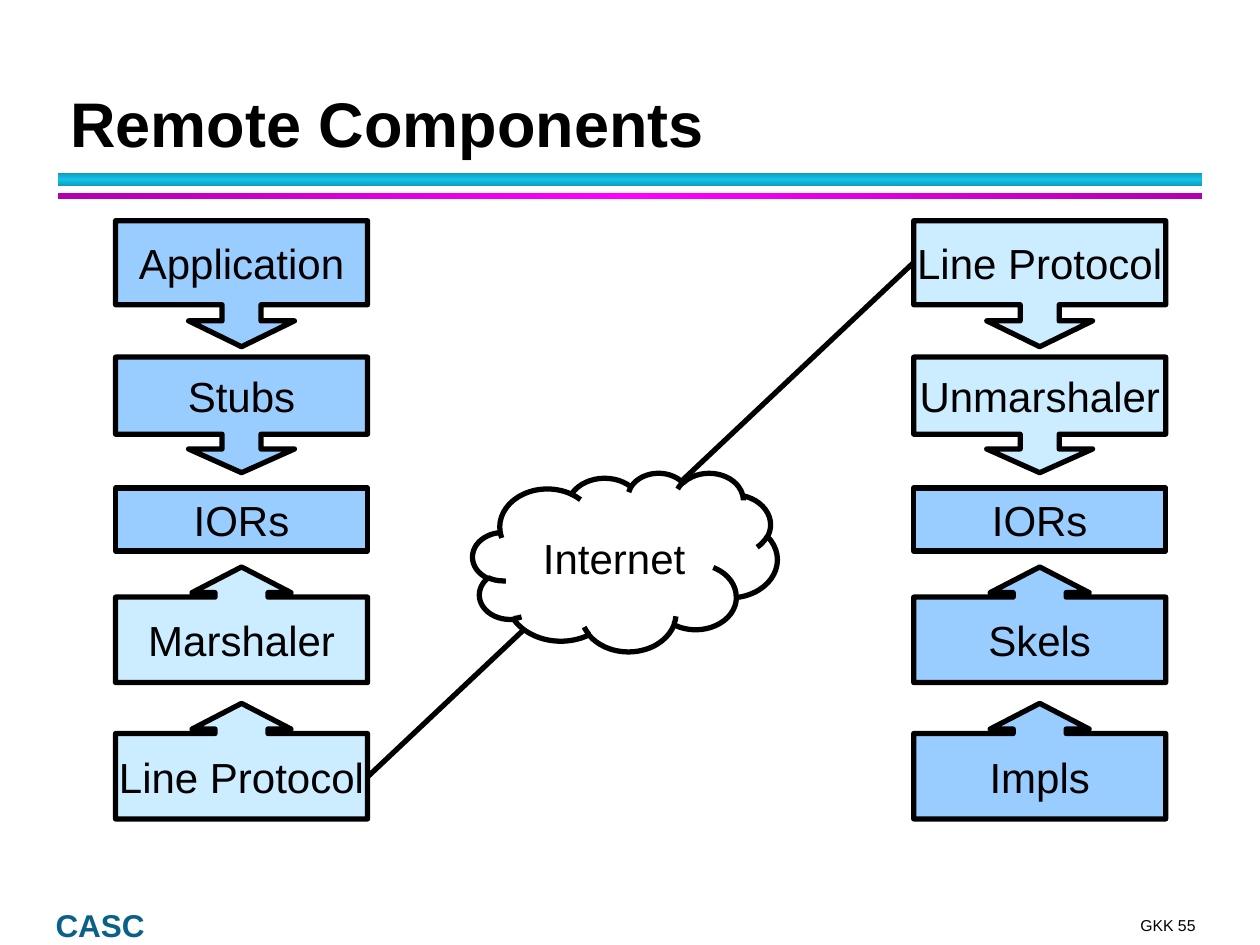
from copy import deepcopy

from lxml.etree import SubElement
from pptx import Presentation
from pptx.dml.color import RGBColor
from pptx.enum.shapes import MSO_CONNECTOR, MSO_SHAPE as SHAPE
from pptx.enum.text import MSO_ANCHOR as ANCHOR, PP_ALIGN as ALIGN
from pptx.oxml.ns import qn
from pptx.util import Cm, Pt

COLORS = {
    "black": "000000", "white": "FFFFFF", "blue": "99CCFF", "pale": "CCECFF",
    "teal": "0E9AB9", "cyan": "12C2E9", "purple": "B100B1", "magenta": "FF00FF",
    "footer": "0A6089",
}


def rgb(name):
    return RGBColor.from_string(COLORS[name])


def add_text(sp, text, size, align, anchor, margins, wrap, color="black", bold=False):
    tf = sp.text_frame
    tf.word_wrap = wrap
    tf.vertical_anchor = anchor
    tf.margin_left = tf.margin_right = Cm(margins[0])
    tf.margin_top = tf.margin_bottom = Cm(margins[1])
    p = tf.paragraphs[0]
    p.alignment = align
    r = p.add_run()
    r.text = text
    r.font.name = "Arial"
    r.font.size = Pt(size)
    r.font.bold = bold
    r.font.color.rgb = rgb(color)
    return p


prs = Presentation()
prs.slide_width, prs.slide_height = Cm(25.4), Cm(19.05)
s = prs.slides.add_slide(prs.slide_layouts[6])
INSET, NONE = (0.25, 0.13), (0, 0)

# Footer
sp = s.shapes.add_textbox(Cm(22.25), Cm(18.47), Cm(1.85), Cm(0.38))
add_text(sp, "GKK 55", 9, ALIGN.RIGHT, ANCHOR.BOTTOM, NONE, True)
sp = s.shapes.add_textbox(Cm(1.12), Cm(18.31), Cm(1.96), Cm(0.71))
p = add_text(sp, "CASC", 18, ALIGN.LEFT, ANCHOR.BOTTOM, NONE, True, "footer", True)
p.line_spacing = Pt(20)

# Title rules: a gradient that is brightest in the middle
for top, height, edge, middle, angle in [
    (3.48, 0.28, "teal", "cyan", 90),
    (3.89, 0.13, "purple", "magenta", 0),
]:
    sp = s.shapes.add_shape(SHAPE.RECTANGLE, Cm(1.17), Cm(top), Cm(23.06), Cm(height))
    sp.shadow.inherit = False
    sp.line.fill.background()
    sp.fill.gradient()
    sp.fill.gradient_angle = angle
    first = sp.element.spPr.find(".//" + qn("a:gs"))
    first.addnext(deepcopy(first))
    for stop, position, color in zip(sp.fill.gradient_stops, (0, 0.5, 1), (edge, middle, edge)):
        stop.position = position
        stop.color.rgb = rgb(color)

# Network line, behind the cloud
line = s.shapes.add_connector(
    MSO_CONNECTOR.STRAIGHT, Cm(7.41), Cm(15.66), Cm(18.42), Cm(5.29))
line.line.color.rgb = rgb("black")
line.line.width = Pt(3)
SubElement(line.element.spPr, qn("a:effectLst"))

# Title
sp = s.shapes.add_textbox(Cm(1.17), Cm(0.84), Cm(23.01), Cm(2.51))
add_text(sp, "Remote Components", 36, ALIGN.LEFT, ANCHOR.BOTTOM, INSET, True, bold=True)

# Cloud and the two component stacks: shape, left, top, width, height, adjustments, fill, text
UP = (0.458, 0.428, 0.222, 0.739)
ROWS = [
    (SHAPE.DOWN_ARROW_CALLOUT, 4.45, 2.54, (0.309, 0.42, 0.205, 0.667)),
    (SHAPE.DOWN_ARROW_CALLOUT, 7.2, 2.33, (0.337, 0.458, 0.205, 0.667)),
    (SHAPE.RECTANGLE, 9.84, 1.27, ()),
    (SHAPE.UP_ARROW_CALLOUT, 11.43, 2.33, UP),
    (SHAPE.UP_ARROW_CALLOUT, 14.18, 2.33, UP),
]
STACKS = {
    2.33: [("Application", "blue"), ("Stubs", "blue"), ("IORs", "blue"),
           ("Marshaler", "pale"), ("Line Protocol", "pale")],
    18.42: [("Line Protocol", "pale"), ("Unmarshaler", "pale"), ("IORs", "blue"),
            ("Skels", "blue"), ("Impls", "blue")],
}
nodes = [(SHAPE.CLOUD, 9.53, 9.53, 6.14, 3.6, (), "white", "Internet")]
for left, labels in STACKS.items():
    for (kind, top, height, adjust), (text, color) in zip(ROWS, labels):
        nodes.append((kind, left, top, 5.08, height, adjust, color, text))

for kind, left, top, width, height, adjust, color, text in nodes:
    sp = s.shapes.add_shape(kind, Cm(left), Cm(top), Cm(width), Cm(height))
    for i, value in enumerate(adjust):
        sp.adjustments[i] = value
    sp.shadow.inherit = False
    sp.fill.solid()
    sp.fill.fore_color.rgb = rgb(color)
    sp.line.color.rgb = rgb("black")
    sp.line.width = Pt(3)
    add_text(sp, text, 24, ALIGN.CENTER, ANCHOR.MIDDLE, INSET, False)

prs.save("out.pptx")
